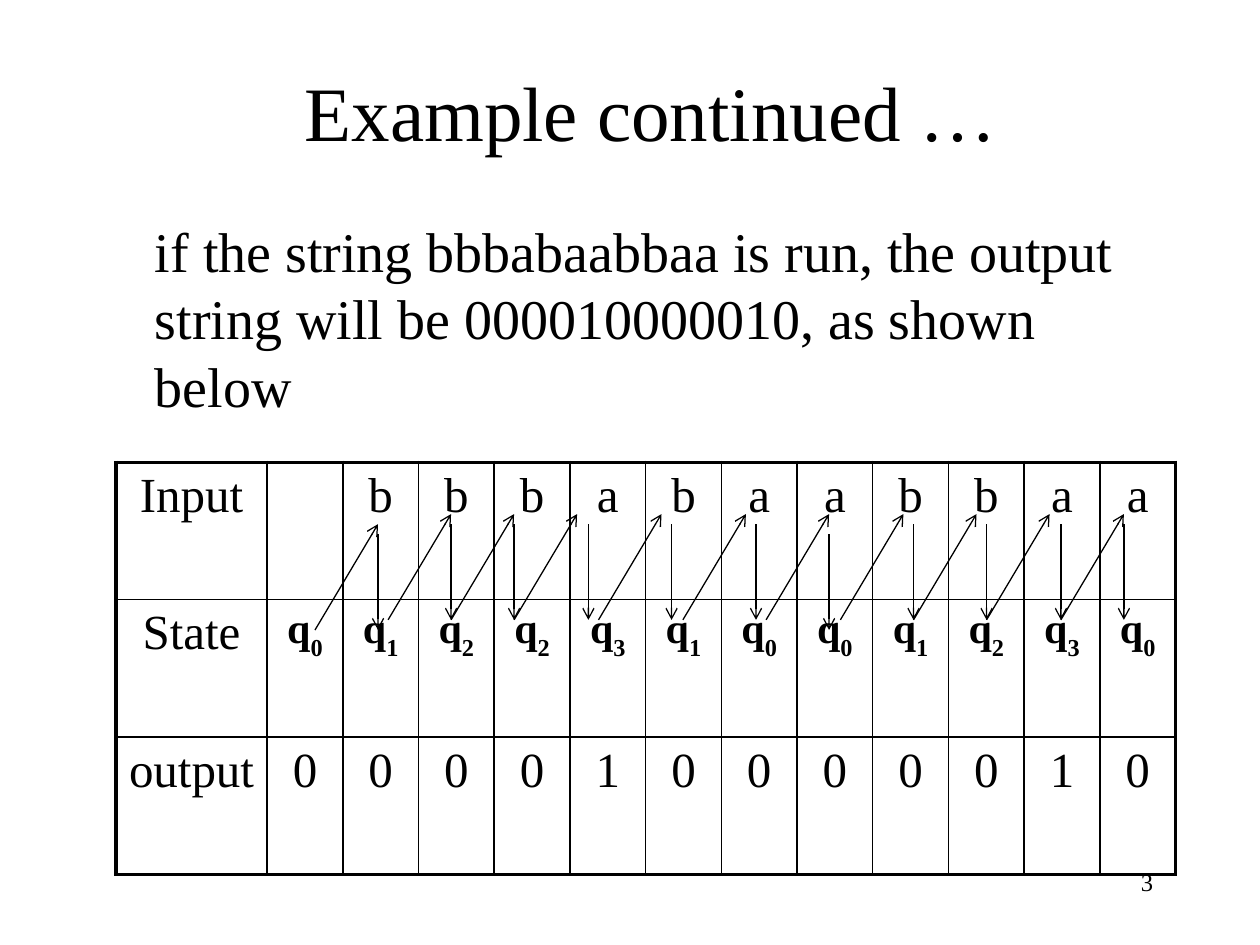
from lxml import etree
from pptx import Presentation
from pptx.dml.color import RGBColor
from pptx.enum.shapes import MSO_CONNECTOR
from pptx.enum.text import MSO_ANCHOR, PP_ALIGN
from pptx.oxml.ns import qn
from pptx.util import Inches, Pt

LEFT, CENTER, RIGHT = PP_ALIGN.LEFT, PP_ALIGN.CENTER, PP_ALIGN.RIGHT
TOP, MIDDLE = MSO_ANCHOR.TOP, MSO_ANCHOR.MIDDLE
STRAIGHT = MSO_CONNECTOR.STRAIGHT
FONT = "Times New Roman"
BLACK = "000000"
OUTER, INNER = 2.25, 1

INPUTS = "bbbabaabbaa"
STATES = "012231001230"
OUTPUTS = "000010000010"

# Left ends of the rising arrows and positions of the falling ones
RISING = [2.5, 3.08, 3.58, 4.08, 4.75, 5.42, 6.08, 6.67, 7.25, 7.83, 8.42]
FALLING = [3, 3.58, 4.08, 4.67, 5.33, 6, 6.58, 7.25, 7.83, 8.42, 8.92]
LOWERED_RISING = {2.5}
LOWERED_FALLING = {3, 6.58}
LOWERING = 0.08


def color(hex_string):
    return RGBColor.from_string(hex_string)


def add_run(p, text, size, bold=False, subscript=False):
    r = p.add_run()
    r.text = text
    r.font.name = FONT
    r.font.size = Pt(size)
    r.font.bold = bold
    r.font.color.rgb = color(BLACK)
    if subscript:
        r.font._element.set("baseline", "-30000")


def add_title(s, box, text):
    title = s.shapes.title
    title.left, title.top, title.width, title.height = map(Inches, box)
    title.text_frame.vertical_anchor = MIDDLE
    p = title.text_frame.paragraphs[0]
    p.alignment = CENTER
    add_run(p, text, 44)


def add_text(s, box, text, size, align=LEFT, margin=0.1):
    tf = s.shapes.add_textbox(*map(Inches, box)).text_frame
    tf.word_wrap = True
    tf.vertical_anchor = TOP
    tf.margin_left = Inches(margin)
    p = tf.paragraphs[0]
    p.alignment = align
    add_run(p, text, size)


def set_borders(cell, widths):
    """Draw the left, right, top and bottom edges in the given point widths."""
    tc_pr = cell._tc.get_or_add_tcPr()
    for i, (side, width) in enumerate(zip("LRTB", widths)):
        ln = etree.Element(qn(f"a:ln{side}"), w=str(Pt(width)))
        fill = etree.SubElement(ln, qn("a:solidFill"))
        etree.SubElement(fill, qn("a:srgbClr"), val=BLACK)
        tc_pr.insert(i, ln)


def add_trace_table(s, box, label_width=1.2):
    rows = [["Input", "", *INPUTS], ["State", *STATES], ["output", *OUTPUTS]]
    n_rows, n_cols = len(rows), len(rows[0])
    table = s.shapes.add_table(n_rows, n_cols, *map(Inches, box)).table
    table.first_row = table.horz_banding = False
    for i, column in enumerate(table.columns):
        width = (box[2] - label_width) / (n_cols - 1) if i else label_width
        column.width = Inches(width)

    for r, values in enumerate(rows):
        for c, value in enumerate(values):
            cell = table.cell(r, c)
            cell.fill.background()
            cell.margin_left = cell.margin_right = Inches(0.05)
            edges = (c == 0, c == n_cols - 1, r == 0, r == n_rows - 1)
            set_borders(cell, [OUTER if edge else INNER for edge in edges])
            p = cell.text_frame.paragraphs[0]
            p.alignment = CENTER
            if r == 1 and c > 0:
                add_run(p, "q", 24, bold=True)
                add_run(p, value, 24, bold=True, subscript=True)
            elif value:
                add_run(p, value, 28)


def add_arrow(s, x1, y1, x2, y2):
    line = s.shapes.add_connector(STRAIGHT, *map(Inches, (x1, y1, x2, y2)))
    line.line.color.rgb = color(BLACK)
    line.line.width = Pt(0.75)
    etree.SubElement(line.line._get_or_add_ln(), qn("a:tailEnd"), type="arrow")
    etree.SubElement(line._element.spPr, qn("a:effectLst"))


def add_transitions(s, top, bottom):
    """Arrows falling from each input to its state and rising to the next input."""
    for x in FALLING:
        dy = LOWERING if x in LOWERED_FALLING else 0
        add_arrow(s, x, top + LOWERING + dy, x, bottom + dy)
    for x in RISING:
        dy = LOWERING if x in LOWERED_RISING else 0
        add_arrow(s, x, bottom + dy, x + 0.5, top + dy)


def main():
    prs = Presentation()
    prs.slide_width, prs.slide_height = Inches(10), Inches(7.5)
    s = prs.slides.add_slide(prs.slide_layouts[5])
    add_title(s, (0.92, 0.25, 8.5, 1.25), "Example continued …")
    add_trace_table(s, (0.92, 3.67, 8.41, 3.27))
    add_text(s, (0.75, 1.67, 8.5, 1.8),
             "if the string bbbabaabbaa is run, the output string will be "
             "000010000010, as shown below", 32, margin=0.48)
    add_transitions(s, 4.08, 4.92)
    add_text(s, (7.17, 6.83, 2.08, 0.5), "3", 14, RIGHT)
    prs.save("out.pptx")


if __name__ == "__main__":
    main()
